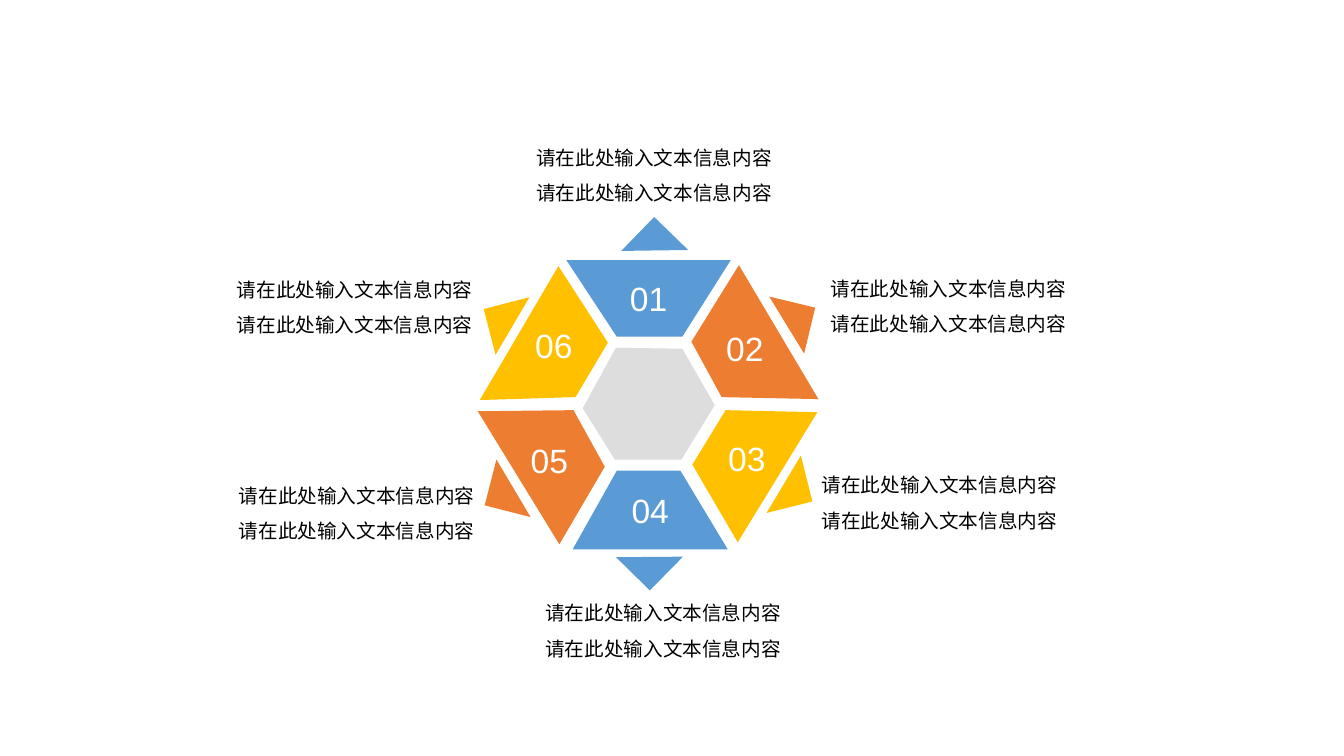
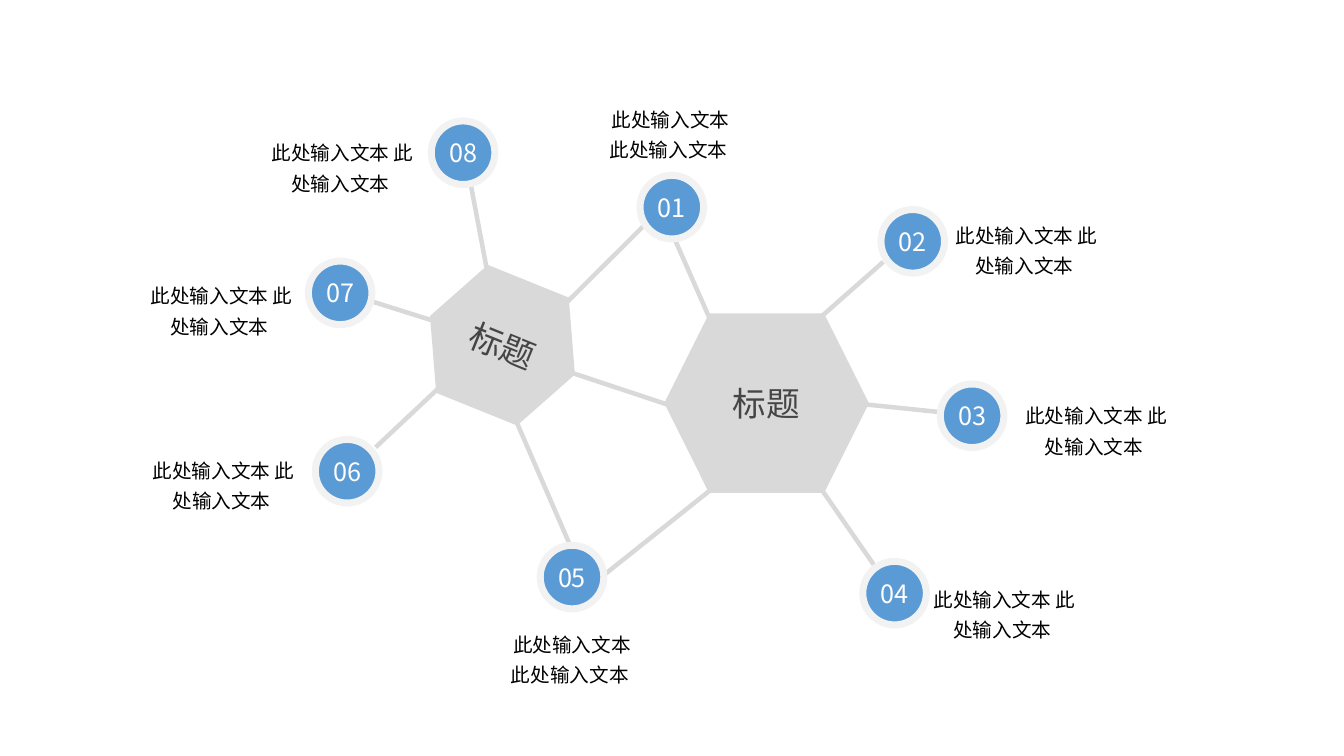
from lxml.etree import SubElement
from pptx import Presentation
from pptx.dml.color import RGBColor
from pptx.enum.shapes import MSO_CONNECTOR, MSO_SHAPE
from pptx.enum.text import MSO_ANCHOR, PP_ALIGN
from pptx.oxml.ns import qn
from pptx.util import Pt

COLORS = {
    "blue": "5B9BD5", "orange": "ED7D31", "gold": "FFC000",
    "core": "DDDDDD", "web": "D9D9D9", "ring": "F2F2F2",
    "white": "FFFFFF", "black": "000000", "title": "454545",
}
LATIN, CJK = "Arial", "Noto Sans CJK SC"
BODY = {"size": 14, "color": "black", "font": CJK, "wrap": True}

SEGMENT_TEXT = ["请在此处输入文本信息内容"] * 2
SEGMENT_LABEL_SIZE = (197.3, 55.4)
ARROW_SIZE = 33.8
CORE = [(439.9, 248.4), (416.2, 291.6), (439.2, 328.3),
        (486.7, 328.3), (510.5, 289.4), (487.4, 249.1)]
SEGMENTS = [
    {"number": "01", "color": "blue", "insets": (0, 0, 0, 0), "spacing": 1,
     "outline": [(404.6, 185.8), (522, 185.8), (487.4, 240.5), (440.6, 240.5)],
     "arrow": (450.7, 162, 134.2), "label": (368.6, 92.2)},
    {"number": "02", "color": "orange", "insets": (0, 22.3, 14.4, 0), "spacing": 1,
     "outline": [(527.8, 189.4), (584.6, 285.1), (515.5, 283.7), (493.9, 244.1)],
     "arrow": (545, 215.3, 193.5), "label": (578.9, 185.8)},
    {"number": "03", "color": "gold", "insets": (0, 0, 11.5, 20.2), "spacing": 0.8,
     "outline": [(518.4, 293), (494.6, 331.9), (527, 387.4), (583.9, 294.5)],
     "arrow": (542.9, 329, 255.9), "label": (572.4, 326.2)},
    {"number": "04", "color": "blue", "insets": (0, 0, 0, 0), "spacing": 1,
     "outline": [(440.6, 336.2), (486, 336.2), (519.8, 392.4), (409, 392.4)],
     "arrow": (447.1, 380.9, 314.5), "label": (375.1, 417.6)},
    {"number": "05", "color": "orange", "insets": (11.5, 0, 0, 25.2), "spacing": 1,
     "outline": [(409.7, 293), (432, 333.4), (399.6, 388.8), (341.3, 293.8)],
     "arrow": (349.9, 331.9, 14.3), "label": (156.2, 333.4)},
    {"number": "06", "color": "gold", "insets": (14.4, 22.3, 0, 0), "spacing": 0.8,
     "outline": [(398.9, 190.1), (434.2, 244.8), (411.1, 283.7), (342.7, 285.8)],
     "arrow": (349.2, 216, 75.5), "label": (154.8, 186.5)},
]

STACKED = ["此处输入文本", "此处输入文本 "]
FLOWING = ["此处输入文本 此处输入文本 "]
NODE_SIZE = 45.4
NODES = [
    ("01", (479.9, 148), STACKED, (411.1, 67, 136, 53.3)),
    ("02", (652, 172.4), FLOWING, (671, 149, 124.6, 55.4)),
    ("03", (694.4, 297), FLOWING, (720.7, 277.9, 124.6, 55.4)),
    ("04", (639, 423.7), FLOWING, (655.2, 409, 124.6, 55.4)),
    ("05", (408.6, 412.2), STACKED, (340.6, 442.1, 136, 53.3)),
    ("06", (248, 336.6), FLOWING, (96.5, 316.8, 126.7, 55.4)),
    ("07", (243, 209.2), FLOWING, (95, 192.2, 126.7, 55.4)),
    ("08", (330.8, 109.1), FLOWING, (181.4, 90, 126.7, 55.4)),
]
HUBS = [
    ("标题", (474.5, 223.9, 146.2, 128.2), 0),
    ("标题", (303.1, 197.3, 111.6, 98.6), 22),
]
LINKS = [
    (335.7, 128.7, 348.3, 195.3), (394.6, 226.2, 468.6, 152.6),
    (401.5, 264, 500.6, 296.9), (432.6, 409.8, 514.2, 344.7),
    (365.5, 293.4, 407.1, 389.2), (268.3, 319.5, 317.7, 273.1),
    (266.5, 215.6, 331.1, 235.9), (585.5, 347.7, 624.1, 403.3),
    (481.7, 170.3, 509, 232.2), (580.2, 231.9, 630.9, 187.1),
    (603.6, 287.4, 670.9, 294.3),
]


def rgb(name):
    return RGBColor.from_string(COLORS[name])


def write(shape, lines, *, size, color, font, spacing=1, wrap=False,
          insets=(7.2, 3.6, 7.2, 3.6), anchor=MSO_ANCHOR.MIDDLE):
    frame = shape.text_frame
    frame.word_wrap = wrap
    frame.vertical_anchor = anchor
    frame.margin_left, frame.margin_top, frame.margin_right, frame.margin_bottom = map(Pt, insets)
    for index, line in enumerate(lines):
        paragraph = frame.add_paragraph() if index else frame.paragraphs[0]
        paragraph.alignment = PP_ALIGN.CENTER
        paragraph.line_spacing = spacing
        run = paragraph.add_run()
        run.text = line
        run.font.size = Pt(size)
        run.font.color.rgb = rgb(color)
        run.font.name = font
        SubElement(run.font._element, qn("a:ea"), typeface=font)


def paint(shape, color, ring=None):
    shape.shadow.inherit = False
    shape.fill.solid()
    shape.fill.fore_color.rgb = rgb(color)
    if ring:
        shape.line.color.rgb = rgb(ring)
        shape.line.width = Pt(5)
    else:
        shape.line.fill.background()
    return shape


def add_preset(slide, preset, box, color, rotation=0, ring=None):
    shape = paint(slide.shapes.add_shape(preset, *map(Pt, box)), color, ring)
    shape.rotation = rotation
    return shape


def add_polygon(slide, points, color):
    start, *rest = [(Pt(x), Pt(y)) for x, y in points]
    builder = slide.shapes.build_freeform(*start)
    builder.add_line_segments(rest, close=True)
    return paint(builder.convert_to_shape(), color)


def add_label(slide, lines, box, **style):
    write(slide.shapes.add_textbox(*map(Pt, box)), lines, **BODY, **style)


def add_link(slide, ends):
    link = slide.shapes.add_connector(MSO_CONNECTOR.STRAIGHT, *map(Pt, ends))
    link.line.color.rgb = rgb("web")
    link.line.width = Pt(3.2)
    SubElement(link._element.spPr, qn("a:effectLst"))


def build_wheel(slide):
    for segment in SEGMENTS:
        wedge = add_polygon(slide, segment["outline"], segment["color"])
        write(wedge, [segment["number"]], size=24, color="white", font=LATIN,
              spacing=segment["spacing"], insets=segment["insets"], wrap=True)
    add_polygon(slide, CORE, "core")
    for segment in SEGMENTS:
        left, top, rotation = segment["arrow"]
        add_preset(slide, MSO_SHAPE.RIGHT_TRIANGLE, (left, top, ARROW_SIZE, ARROW_SIZE),
                   segment["color"], rotation)
        add_label(slide, SEGMENT_TEXT, segment["label"] + SEGMENT_LABEL_SIZE,
                  spacing=1.5, anchor=MSO_ANCHOR.TOP)


def build_network(slide):
    for ends in LINKS:
        add_link(slide, ends)
    for title, box, rotation in HUBS:
        hub = add_preset(slide, MSO_SHAPE.HEXAGON, box, "web", rotation)
        write(hub, [title], size=24, color="title", font=CJK)
    for number, (x, y), lines, label_box in NODES:
        box = (x - NODE_SIZE / 2, y - NODE_SIZE / 2, NODE_SIZE, NODE_SIZE)
        node = add_preset(slide, MSO_SHAPE.OVAL, box, "blue", ring="ring")
        write(node, [number], size=18, color="white", font=CJK, insets=(0, 0, 0, 0))
        add_label(slide, lines, label_box, spacing=1.3)


def main():
    deck = Presentation()
    deck.slide_width, deck.slide_height = Pt(960), Pt(540)
    for build in (build_wheel, build_network):
        build(deck.slides.add_slide(deck.slide_layouts[6]))
    deck.save("out.pptx")


if __name__ == "__main__":
    main()
